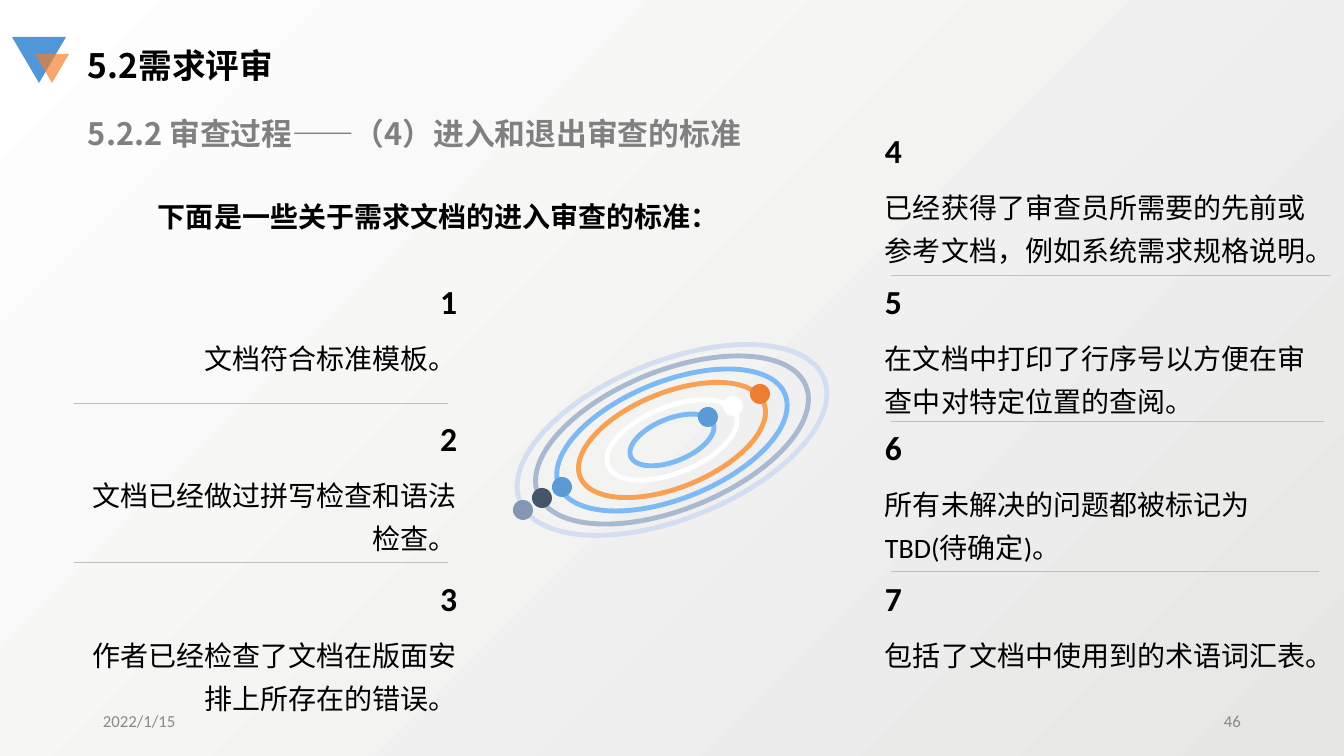
from lxml.etree import SubElement
from pptx import Presentation
from pptx.dml.color import RGBColor
from pptx.enum.shapes import MSO_CONNECTOR, MSO_SHAPE
from pptx.enum.text import MSO_ANCHOR, PP_ALIGN
from pptx.oxml.ns import qn
from pptx.util import Emu, Pt

PX = 12192000 / 1344
WIDTH, HEIGHT = 1344, 756
LATIN, CJK = "Calibri", "Noto Sans CJK SC"
COLORS = {
    "black": "000000", "heading": "808080", "footer": "898989", "rule": "BFBFBF",
    "back_dark": "E6E6E5", "white": "FFFFFF", "mark_blue": "5197D7",
    "mark_orange": "F37D2A", "blue": "5B9BD5", "orange": "ED7D31",
    "navy": "44546A", "slate": "8497B0",
    "ring_pale": "D3DEF0", "ring_slate": "A9B9D0", "ring_blue": "7DB9F5",
    "ring_orange": "F7A154",
}
ORBIT_TILT, ORBIT_FLATNESS = -22, 0.48
ORBITS = [(328, "ring_pale"), (289, "ring_slate"), (244, "ring_blue"),
          (198, "ring_orange"), (138, "white"), (89, "ring_blue")]
PLANETS = [(733, 406, "white"), (760, 394, "orange"), (542, 498, "navy"),
           (523, 510, "slate"), (708, 417, "blue"), (562, 487, "blue")]
# number, text, top, box width, y of the rule below (None for the last)
LEFT_CRITERIA = [
    ("1", "文档符合标准模板。", 284, 393, 403),
    ("2", "文档已经做过拼写检查和语法检查。", 421, 393, 562),
    ("3", "作者已经检查了文档在版面安排上所存在的错误。", 581, 393, None),
]
RIGHT_CRITERIA = [
    ("4", "已经获得了审查员所需要的先前或参考文档，例如系统需求规格说明。", 133, 456, 275),
    ("5", "在文档中打印了行序号以方便在审查中对特定位置的查阅。", 284, 449, 421),
    ("6", "所有未解决的问题都被标记为TBD(待确定)。", 430, 444, 571),
    ("7", "包括了文档中使用到的术语词汇表。", 581, 449, None),
]


def px(length):
    return Emu(round(length * PX))


def color(name):
    return RGBColor.from_string(COLORS[name])


def place(shape, left, top, width, height):
    shape.left, shape.top = px(left), px(top)
    shape.width, shape.height = px(width), px(height)


def write(box, text, size=20, ink="black", bold=False, font=LATIN,
          align=PP_ALIGN.LEFT, anchor=MSO_ANCHOR.TOP, spacing=1.0):
    frame = box.text_frame
    frame.word_wrap = True
    frame.vertical_anchor = anchor
    frame.margin_left = frame.margin_right = px(10)
    frame.margin_top = frame.margin_bottom = px(5)
    para = frame.paragraphs[0]
    para.alignment, para.line_spacing = align, spacing
    span = para.add_run()
    span.text = text
    span.font.name, span.font.size, span.font.bold = font, Pt(size), bold
    span.font.color.rgb = color(ink)
    SubElement(span.font._element, qn("a:ea"), typeface=CJK)


def add_text(page, bounds, text, **style):
    box = page.shapes.add_textbox(*map(px, bounds))
    write(box, text, **style)


def add_filled(page, kind, bounds, fill):
    shape = page.shapes.add_shape(kind, *map(px, bounds))
    shape.shadow.inherit = False
    shape.fill.solid()
    shape.fill.fore_color.rgb = color(fill)
    shape.line.fill.background()
    return shape


def add_rule(page, start, end, y):
    rule = page.shapes.add_connector(
        MSO_CONNECTOR.STRAIGHT, px(start), px(y), px(end), px(y))
    rule.line.color.rgb = color("rule")
    rule.line.width = Pt(0.25)
    SubElement(rule._element.spPr, qn("a:effectLst"))


def paint_background(page):
    fill = page.background.fill
    fill.gradient()
    fill.gradient_angle = 135
    for stop, name in zip(fill.gradient_stops, ("back_dark", "white")):
        stop.color.rgb = color(name)


def add_header(page, left, top):
    large = add_filled(page, MSO_SHAPE.ISOSCELES_TRIANGLE,
                       (left, top, 54, 46), "mark_blue")
    small = add_filled(page, MSO_SHAPE.ISOSCELES_TRIANGLE,
                       (left + 23, top + 17, 34, 29), "mark_orange")
    large.rotation = small.rotation = 180
    tint = small.fill._xPr.find(qn("a:solidFill"))[0]
    SubElement(tint, qn("a:alpha"), val="68000")

    title = page.shapes.title
    place(title, left + 66, top + 3, 338, 50)
    write(title, "5.2需求评审", size=24, bold=True, font=CJK)
    add_text(page, (left + 66, top + 73, 689, 47),
             "5.2.2 审查过程——（4）进入和退出审查的标准",
             size=22, ink="heading", bold=True, font=CJK)
    add_text(page, (left + 136, top + 141, 586, 53),
             "下面是一些关于需求文档的进入审查的标准：",
             bold=True, font=CJK, spacing=1.5)


def add_orbits(page, center_x, center_y):
    for width, ink in ORBITS:
        height = width * ORBIT_FLATNESS
        bounds = (center_x - width / 2, center_y - height / 2, width, height)
        orbit = page.shapes.add_shape(MSO_SHAPE.OVAL, *map(px, bounds))
        orbit.shadow.inherit = False
        orbit.rotation = ORBIT_TILT
        orbit.fill.background()
        orbit.line.color.rgb = color(ink)
        orbit.line.width = Pt(3.5)
    for x, y, fill in PLANETS:
        add_filled(page, MSO_SHAPE.OVAL, (x - 10, y - 10, 20, 20), fill)


def add_criteria(page, criteria, left, align, rule_indent, rule_inset):
    """Stack numbered criteria, each closed by a rule shortened at either end."""
    for number, text, top, width, rule_y in criteria:
        add_text(page, (left, top, width, 42), number, size=24, bold=True,
                 align=align, anchor=MSO_ANCHOR.BOTTOM)
        add_text(page, (left, top + 42, width, 61), text, align=align, spacing=1.3)
        if rule_y:
            add_rule(page, left + rule_indent, left + width - rule_inset, rule_y)


def add_footer(page, top):
    style = dict(size=12, ink="footer", anchor=MSO_ANCHOR.MIDDLE)
    add_text(page, (93, top, 302, 40), "2022/1/15", **style)
    add_text(page, (949, top, 302, 40), "46", align=PP_ALIGN.RIGHT, **style)


def main():
    deck = Presentation()
    deck.slide_width, deck.slide_height = px(WIDTH), px(HEIGHT)
    page = deck.slides.add_slide(deck.slide_layouts[5])
    paint_background(page)
    add_footer(page, 701)
    add_orbits(page, 672, 440)
    add_criteria(page, LEFT_CRITERIA, 74, PP_ALIGN.RIGHT, 0, 19)
    add_criteria(page, RIGHT_CRITERIA, 875, PP_ALIGN.LEFT, 16, 0)
    add_header(page, 12, 37)
    deck.save("out.pptx")


if __name__ == "__main__":
    main()
